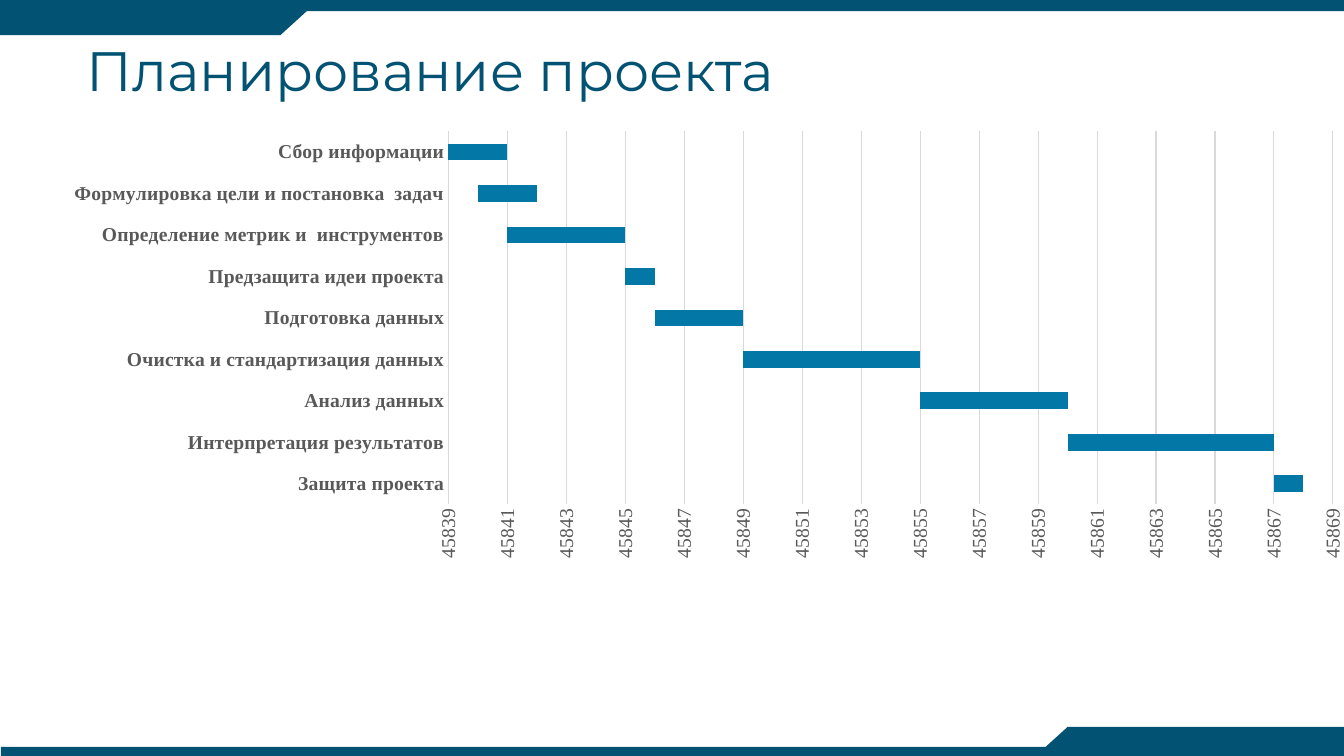
import pptx
import pptx.chart.data
import pptx.dml.color
import pptx.enum.chart
import pptx.enum.shapes
import pptx.enum.text
import pptx.oxml
import pptx.oxml.ns
import pptx.util

Inches = pptx.util.Inches
Pt = pptx.util.Pt
Kind = pptx.enum.shapes.MSO_SHAPE
Tick = pptx.enum.chart.XL_TICK_MARK

HUES = {"navy": "025373", "blue": "0378A6", "grey": "595959", "grid": "D9D9D9"}
SERIF = "Times New Roman"

# Task, first day as a date number, length in days
TASKS = [
    ("Сбор информации", 45839, 2),
    ("Формулировка цели и постановка  задач", 45840, 2),
    ("Определение метрик и  инструментов", 45841, 4),
    ("Предзащита идеи проекта", 45845, 1),
    ("Подготовка данных", 45846, 3),
    ("Очистка и стандартизация данных", 45849, 6),
    ("Анализ данных", 45855, 5),
    ("Интерпретация результатов", 45860, 7),
    ("Защита проекта", 45867, 1),
]

# Frame parts: preset, left, top, width, height, turn
FRAME = [
    (Kind.RECTANGLE, 0, 0, 13.33, 0.11, 0),
    (Kind.RECTANGLE, 0.01, 7.41, 13.32, 0.09, 0),
    (Kind.RECTANGLE, 0, 0.05, 2.78, 0.3, 0),
    (Kind.FLOWCHART_MERGE, 2.45, 0.05, 0.66, 0.3, 0),
    (Kind.RECTANGLE, 10.59, 7.21, 2.74, 0.29, 0),
    (Kind.FLOWCHART_MERGE, 10.26, 7.21, 0.66, 0.3, 180),
]


def tint(hue):
    return pptx.dml.color.RGBColor.from_string(HUES[hue])


def apply(item, **attrs):
    for name, value in attrs.items():
        setattr(item, name, value)


def style(font, hue, **attrs):
    apply(font, **attrs)
    font.color.rgb = tint(hue)


def rule(line):
    line.color.rgb = tint("grid")
    line.width = Pt(0.75)


def block(slide, kind, left, top, width, height, turn):
    box = [Inches(n) for n in (left, top, width, height)]
    shape = slide.shapes.add_shape(kind, *box)
    shape.rotation = turn
    shape.shadow.inherit = False
    shape.fill.solid()
    shape.fill.fore_color.rgb = tint("navy")
    shape.line.fill.background()


def title(slide, text):
    box = slide.shapes.add_textbox(
        Inches(0.76), Inches(0.45), Inches(11.5), Inches(0.55))
    frame = box.text_frame
    apply(frame, word_wrap=True,
          vertical_anchor=pptx.enum.text.MSO_ANCHOR.MIDDLE)
    para = frame.paragraphs[0]
    para.line_spacing = 0.9
    run = para.add_run()
    run.text = text
    style(run.font, "navy", name="Montserrat", size=Pt(39.6))


def place(chart, **sides):
    """Fix the inner plot area as shares of the chart."""
    plot = chart.plots[0]
    area = chart.element.find(".//" + pptx.oxml.ns.qn("c:plotArea"))
    old = area.find(pptx.oxml.ns.qn("c:layout"))
    if old is not None:
        area.remove(old)
    modes = '<c:xMode val="edge"/><c:yMode val="edge"/>'
    sizes = "".join(f'<c:{k} val="{v}"/>' for k, v in sides.items())
    area.insert(0, pptx.oxml.parse_xml(
        f'<c:layout {pptx.oxml.ns.nsdecls("c")}><c:manualLayout>'
        f'<c:layoutTarget val="inner"/>{modes}{sizes}'
        '</c:manualLayout></c:layout>'))
    apply(plot, gap_width=150, overlap=100, vary_by_categories=False)


def axes(chart):
    font = {"name": SERIF, "size": Pt(14)}
    cat, val = chart.category_axis, chart.value_axis
    for axis in (cat, val):
        apply(axis, major_tick_mark=Tick.NONE, minor_tick_mark=Tick.NONE)
    apply(cat, has_major_gridlines=False)
    style(cat.tick_labels.font, "grey", bold=True, **font)
    rule(cat.format.line)

    apply(val, minimum_scale=45839, maximum_scale=45869, major_unit=2,
          has_major_gridlines=True)
    apply(val.tick_labels, number_format="0", number_format_is_linked=False)
    style(val.tick_labels.font, "grey", bold=False, **font)
    rule(val.major_gridlines.format.line)
    val.format.line.fill.background()
    # Upright date labels
    body = val._element.find(".//" + pptx.oxml.ns.qn("a:bodyPr"))
    body.set("rot", "-5400000")
    body.set("vert", "horz")


def gantt(slide):
    names, starts, days = zip(*reversed(TASKS))
    data = pptx.chart.data.CategoryChartData()
    data.categories = names
    data.add_series("Series 1", starts)
    data.add_series("Series 2", days)
    chart = slide.shapes.add_chart(
        pptx.enum.chart.XL_CHART_TYPE.BAR_STACKED,
        Inches(0), Inches(1.15), Inches(13.33), Inches(6.3), data).chart
    apply(chart, has_legend=False, has_title=False)
    apply(chart.font, name=SERIF, size=Pt(14))
    place(chart, x=0.334, y=0.024, w=0.659, h=0.588)
    axes(chart)

    # The starts stay unseen and only shift the bars
    shift, bars = chart.plots[0].series
    shift.format.fill.background()
    bars.format.fill.solid()
    bars.format.fill.fore_color.rgb = tint("blue")
    for row in (shift, bars):
        row.format.line.fill.background()
        row.invert_if_negative = False


def main():
    deck = pptx.Presentation()
    apply(deck, slide_width=Inches(13.33), slide_height=Inches(7.5))
    slide = deck.slides.add_slide(deck.slide_layouts[6])
    for part in FRAME:
        block(slide, *part)
    title(slide, "Планирование проекта")
    gantt(slide)
    deck.save("out.pptx")


if __name__ == "__main__":
    main()
